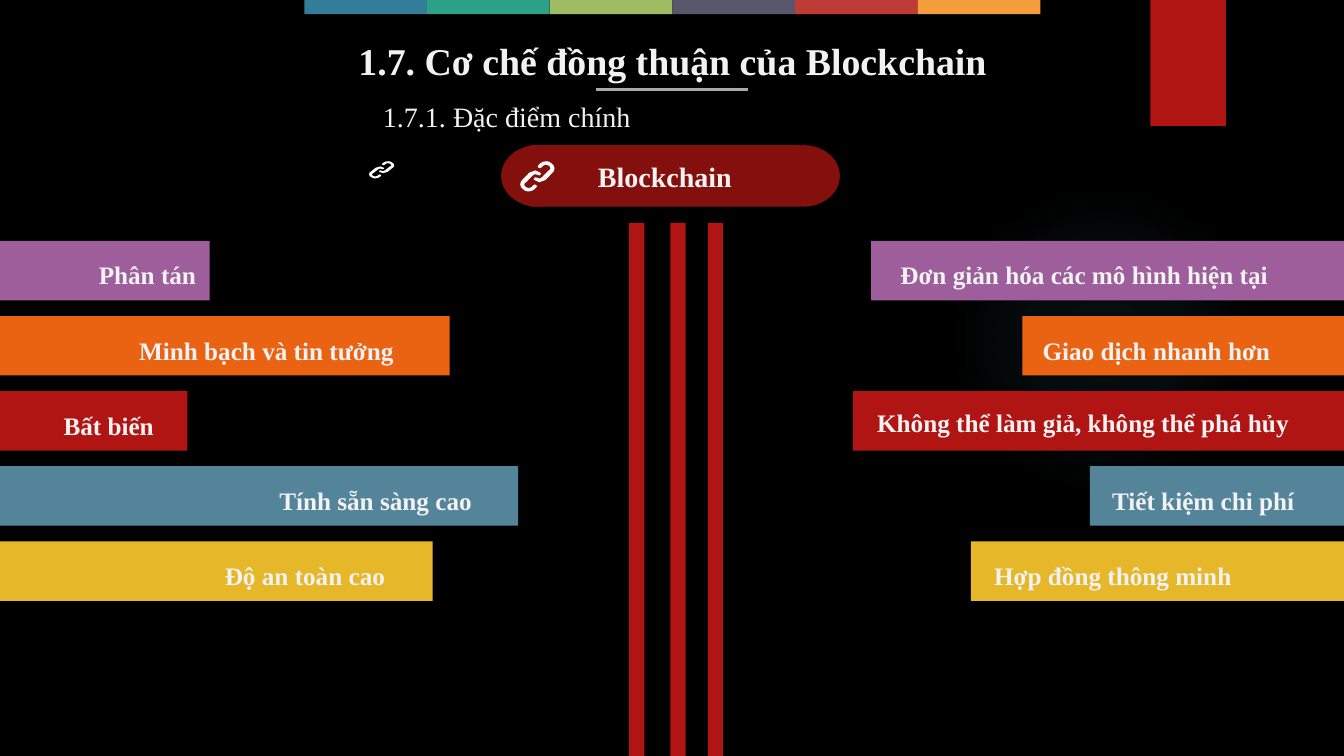
import lxml.etree
import pptx
import pptx.dml.color
import pptx.enum.shapes
import pptx.enum.text
import pptx.oxml
import pptx.oxml.ns
import pptx.util

Inches = pptx.util.Inches
rgb = pptx.dml.color.RGBColor.from_string
KIND = pptx.enum.shapes.MSO_SHAPE
ALIGN = pptx.enum.text.PP_ALIGN
MIDDLE = pptx.enum.text.MSO_ANCHOR.MIDDLE
RED, DARK_RED = "B01513", "84100E"
SLIDE_WIDTH = 13.33


def paint(shape, colour):
    """Give a shape a flat fill without outline or shadow."""
    shape.shadow.inherit = False
    shape.line.fill.background()
    shape.fill.solid()
    shape.fill.fore_color.rgb = rgb(colour)
    return shape


def write(shape, text, size, alignment, bold=True):
    """Put one styled paragraph in a shape and return its text frame."""
    text_frame = shape.text_frame
    text_frame.text = text
    text_frame.word_wrap = True
    paragraph = text_frame.paragraphs[0]
    paragraph.alignment = alignment
    font = paragraph.runs[0].font
    font.name = "Times New Roman"
    font.size = pptx.util.Pt(size)
    font.bold = bold
    font.color.rgb = rgb("F2F2F2")
    return text_frame


presentation = pptx.Presentation()
presentation.slide_width = Inches(SLIDE_WIDTH)
presentation.slide_height = Inches(7.5)
slide = presentation.slides.add_slide(presentation.slide_layouts[6])
slide.background.fill.solid()
slide.background.fill.fore_color.rgb = rgb("000000")
shapes = slide.shapes

# Faint round glow, fading out from its centre
glow = paint(shapes.add_shape(KIND.OVAL, Inches(9.41), Inches(1.83), Inches(3.08), Inches(3.08)), "50B9C1")
stops = "".join(
    f'<a:gs pos="{position}000"><a:srgbClr val="50B9C1"><a:alpha val="{opacity}000"/></a:srgbClr></a:gs>'
    for position, opacity in [(0, 7), (36, 6), (69, 0)]
)
gradient = pptx.oxml.parse_xml(
    f'<a:gradFill {pptx.oxml.ns.nsdecls("a")}><a:gsLst>{stops}</a:gsLst><a:path path="circle">'
    '<a:fillToRect l="50000" t="50000" r="50000" b="50000"/></a:path></a:gradFill>'
)
properties = glow.element.spPr
properties.replace(properties.find(pptx.oxml.ns.qn("a:solidFill")), gradient)

# Red tab and the coloured strip along the top
paint(shapes.add_shape(KIND.RECTANGLE, Inches(11.41), 0, Inches(0.75), Inches(1.25)), RED)
strip_colours = ["327E99", "2BA187", "9FBC62", "58566A", "BF3B36", "F39D3D"]
strip_width = 7.3 / len(strip_colours)
for index, colour in enumerate(strip_colours):
    left = Inches(3.02 + strip_width * index)
    paint(shapes.add_shape(KIND.RECTANGLE, left, 0, Inches(strip_width), Inches(0.14)), colour)

# Headings
underline = shapes.add_connector(
    pptx.enum.shapes.MSO_CONNECTOR.STRAIGHT, Inches(5.91), Inches(0.89), Inches(7.42), Inches(0.89)
)
underline.line.color.rgb = rgb("A6AAA9")
underline.line.width = pptx.util.Pt(2)
lxml.etree.SubElement(underline.element.spPr, pptx.oxml.ns.qn("a:effectLst"))
title = shapes.add_textbox(Inches(3.03), Inches(0.33), Inches(7.28), Inches(0.46))
write(title, "1.7. Cơ chế đồng thuận của Blockchain", 27, ALIGN.CENTER)
subtitle = shapes.add_textbox(Inches(3.7), Inches(0.94), Inches(5.94), Inches(0.43))
write(subtitle, "1.7.1. Đặc điểm chính", 20, ALIGN.LEFT, bold=False)

# Feature bars on both sides: bar width, label left, label width, label offset, label
row_colours = ["9E5E9B", "EA6312", RED, "54849A", "E6B729"]
left_features = [
    (2.08, 0.95, 1.03, 0.1, "Phân tán"),
    (4.46, 1.35, 2.86, 0.1, "Minh bạch và tin tưởng"),
    (1.86, 0.6, 1.05, 0.1, "Bất biến"),
    (5.14, 2.74, 2.26, 0.1, "Tính sẵn sàng cao"),
    (4.29, 2.2, 1.87, 0.1, "Độ an toàn cao"),
]
right_features = [
    (4.69, 8.9, 4.18, 0.1, "Đơn giản hóa các mô hình hiện tại"),
    (3.19, 10.31, 2.59, 0.1, "Giao dịch nhanh hơn"),
    (4.87, 8.67, 4.63, 0.07, "Không thể làm giả, không thể phá hủy"),
    (2.52, 11, 2.1, 0.1, "Tiết kiệm chi phí"),
    (3.7, 9.83, 2.7, 0.1, "Hợp đồng thông minh"),
]
for features in (left_features, right_features):
    for row, (bar_width, label_left, label_width, offset, label) in enumerate(features):
        top = 2.39 + 0.745 * row
        bar_left = 0 if features is left_features else SLIDE_WIDTH - bar_width
        bar = shapes.add_shape(KIND.RECTANGLE, Inches(bar_left), Inches(top), Inches(bar_width), Inches(0.59))
        paint(bar, row_colours[row])
        label_box = shapes.add_textbox(
            Inches(label_left), Inches(top + offset), Inches(label_width), Inches(0.4)
        )
        text_frame = write(label_box, label, 18, ALIGN.LEFT)
        text_frame.word_wrap = False
        text_frame.auto_size = pptx.enum.text.MSO_AUTO_SIZE.SHAPE_TO_FIT_TEXT
        text_frame.vertical_anchor = MIDDLE
        text_frame.margin_left = text_frame.margin_right = Inches(0.03)
        text_frame.margin_top = text_frame.margin_bottom = Inches(0.03)
        text_frame.paragraphs[0].line_spacing = 1.25

# Blockchain pill: a rectangle with a round cap at each end
for cap_left in (7.61, 4.97):
    paint(shapes.add_shape(KIND.OVAL, Inches(cap_left), Inches(1.44), Inches(0.72), Inches(0.61)), DARK_RED)
pill = paint(shapes.add_shape(KIND.RECTANGLE, Inches(5.26), Inches(1.44), Inches(2.67), Inches(0.61)), DARK_RED)
write(pill, "Blockchain", 20, ALIGN.CENTER).vertical_anchor = MIDDLE

# Chain link icons: one link outlined in a 34 by 29 grid, the other turned by 180 degrees
link = [
    (13, 23), (11, 25), (8.5, 25.8), (6, 25), (4.4, 23.7), (4, 22), (4.6, 21), (6, 20),
    (12, 14), (14.5, 12.3), (17, 13), (18.9, 13.6), (20, 13), (20.6, 11.9), (20, 11),
    (15, 8.8), (9, 11), (3, 17), (0.8, 19.3), (0, 22), (0.8, 24.9), (3, 27),
    (5.2, 28.5), (8, 29), (11.4, 28.5), (14, 27), (16, 25), (16.6, 24), (16, 23), (14.4, 22.3),
]
turned_link = [(34 - x, 29 - y) for x, y in link]

for left, top, width, height in [(3.66, 1.6, 0.25, 0.17), (5.16, 1.6, 0.34, 0.3)]:
    first, second = [
        [(Inches(left + x * width / 34), Inches(top + y * height / 29)) for x, y in points]
        for points in (link, turned_link)
    ]
    builder = shapes.build_freeform(*first[0])
    builder.add_line_segments(first[1:])
    builder.move_to(*second[0])
    builder.add_line_segments(second[1:])
    paint(builder.convert_to_shape(), "FFFFFF")

# Three posts below the pill
for left in (6.65, 7.02, 6.24):
    paint(shapes.add_shape(KIND.RECTANGLE, Inches(left), Inches(2.21), Inches(0.15), Inches(5.29)), RED)

presentation.save("out.pptx")
